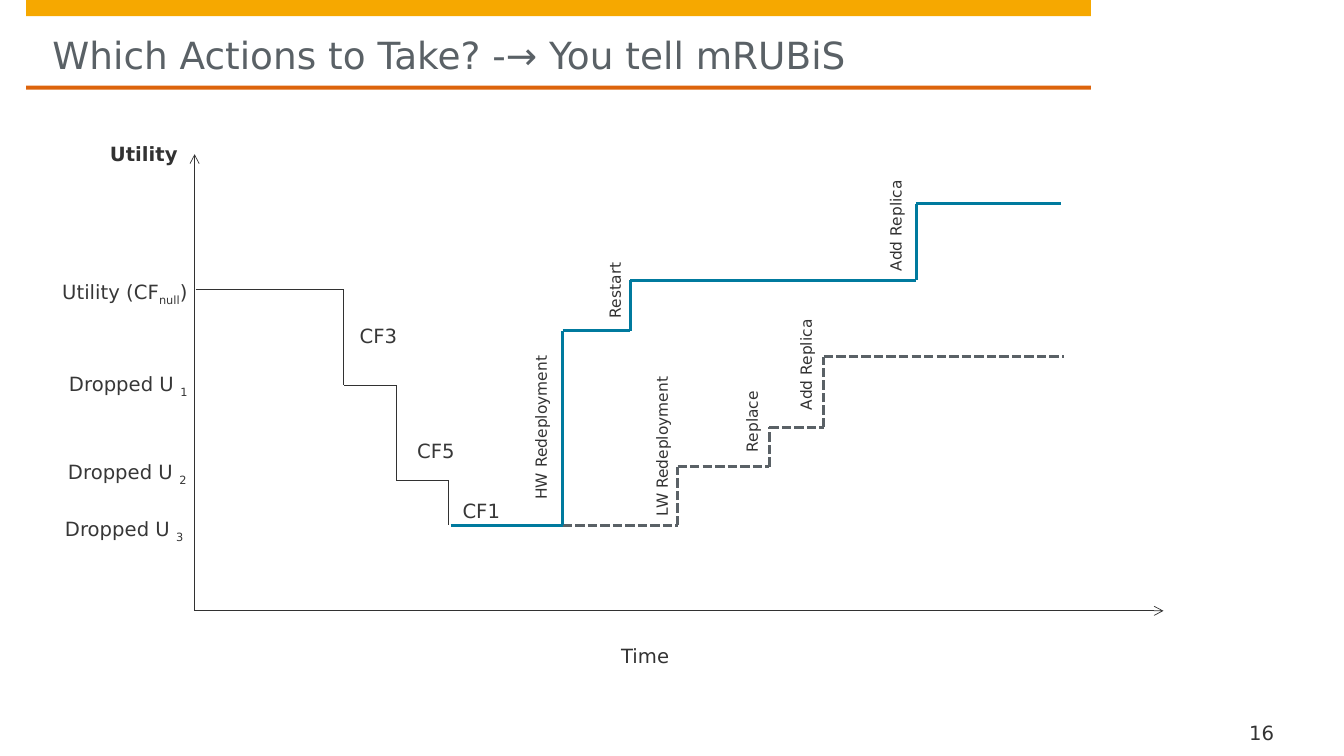
import lxml.etree
import pptx
import pptx.dml.color
import pptx.enum.dml
import pptx.enum.shapes
import pptx.enum.text
import pptx.oxml.ns
import pptx.util

PX = 9144  # EMU, 100 px to the inch
FONT = "DejaVu Sans"
RGBColor = pptx.dml.color.RGBColor
AMBER = RGBColor(0xF6, 0xA8, 0x00)
ORANGE = RGBColor(0xDD, 0x64, 0x0C)
SLATE = RGBColor(0x5A, 0x61, 0x66)
INK = RGBColor(0x32, 0x32, 0x32)
LABEL = RGBColor(0x37, 0x37, 0x37)
BLUE = RGBColor(0x00, 0x7A, 0x9E)

ALIGN = pptx.enum.text.PP_ALIGN
ANCHOR = pptx.enum.text.MSO_ANCHOR
DASH = pptx.enum.dml.MSO_LINE.SQUARE_DOT


def add_span(para, text, size=14, color=INK, bold=False, subscript=False):
    span = para.add_run()
    span.text = text
    span.font.name = FONT
    span.font.size = pptx.util.Pt(size)
    span.font.bold = bold
    span.font.color.rgb = color
    if subscript:
        span._r.get_or_add_rPr().set("baseline", "-25000")


class UtilityPage:
    def __init__(self, page):
        self.page = page

    def bar(self, left, top, width, height, color):
        shape = self.page.shapes.add_shape(
            pptx.enum.shapes.MSO_SHAPE.RECTANGLE,
            left * PX, top * PX, width * PX, height * PX)
        shape.shadow.inherit = False
        shape.fill.solid()
        shape.fill.fore_color.rgb = color
        shape.line.fill.background()

    def text(self, left, top, width, height, text, subscript="", ending="",
             align=ALIGN.LEFT, anchor=ANCHOR.TOP, rotation=0, **style):
        box = self.page.shapes.add_textbox(
            left * PX, top * PX, width * PX, height * PX)
        box.rotation = rotation
        frame = box.text_frame
        frame.word_wrap = True
        frame.vertical_anchor = anchor
        frame.margin_left = frame.margin_right = 0
        frame.margin_top = frame.margin_bottom = 0
        para = frame.paragraphs[0]
        para.alignment = align
        add_span(para, text, **style)
        if subscript:
            add_span(para, subscript, subscript=True, **style)
        if ending:
            add_span(para, ending, **style)

    def line(self, start, end, color, weight, dash=None, arrow=False):
        connector = self.page.shapes.add_connector(
            pptx.enum.shapes.MSO_CONNECTOR.STRAIGHT,
            start[0] * PX, start[1] * PX, end[0] * PX, end[1] * PX)
        connector.line.color.rgb = color
        connector.line.width = pptx.util.Pt(weight)
        if dash:
            connector.line.dash_style = dash
        if arrow:
            tip = lxml.etree.SubElement(
                connector.line._get_or_add_ln(), pptx.oxml.ns.qn("a:tailEnd"))
            tip.set("type", "arrow")
        lxml.etree.SubElement(
            connector._element.spPr, pptx.oxml.ns.qn("a:effectLst"))

    def staircase(self, corners, color, weight, dash=None):
        for start, end in zip(corners, corners[1:]):
            self.line(start, end, color, weight, dash)


def main():
    deck = pptx.Presentation()
    deck.slide_width = 1333 * PX
    deck.slide_height = 750 * PX
    chart = UtilityPage(deck.slides.add_slide(deck.slide_layouts[6]))

    # Title band
    chart.bar(26, 0, 1056, 16, AMBER)
    chart.bar(26, 85, 1056, 4, ORANGE)
    chart.text(52, 32, 1003, 45, "Which Actions to Take? -→ You tell mRUBiS",
               anchor=ANCHOR.MIDDLE, size=26.7, color=SLATE)

    # Axes
    origin = (193, 606)
    chart.line(origin, (193, 153), INK, 0.5, arrow=True)
    chart.line(origin, (1154, 606), INK, 0.5, arrow=True)
    chart.text(109, 141, 103, 24, "Utility", bold=True)
    chart.text(616, 639, 92, 42, "Time")

    # Utility levels, set flush right against the axis
    levels = [
        (186, 278, "Utility (CF", "null", ")"),
        (186, 369, "Dropped U ", "1", ""),
        (185, 456, "Dropped U ", "2", ""),
        (182, 513, "Dropped U ", "3", ""),
    ]
    for right, top, name, index, ending in levels:
        chart.text(right - 150, top, 150, 30, name, index, ending,
                   align=ALIGN.RIGHT, color=LABEL)

    # Utility lost with each failure
    chart.staircase([(194, 287), (341, 287), (341, 382), (393, 382),
                     (393, 477), (445, 477), (445, 521)], INK, 0.75)
    for right, top, failure in [(394, 321, "CF3"), (451, 435, "CF5"),
                                (496, 495, "CF1")]:
        chart.text(right - 60, top, 60, 25, failure,
                   align=ALIGN.RIGHT, color=LABEL)

    # Two ways to recover
    chart.staircase([(558, 521), (672, 521), (672, 463), (763, 463),
                     (763, 424), (817, 424), (817, 354), (1055, 354)],
                    SLATE, 2.25, DASH)
    chart.staircase([(447, 521), (558, 521), (558, 328), (625, 328),
                     (625, 278), (909, 278), (909, 202), (1052, 202)],
                    BLUE, 2)

    # Actions, written upwards beside their steps
    actions = [
        (455, 425, 162, 18, "HW Redeployment", ALIGN.RIGHT),
        (577, 284, 65, 18, "Restart", ALIGN.RIGHT),
        (839, 219, 108, 28, "Add Replica", ALIGN.RIGHT),
        (575, 422, 162, 18, "LW Redeployment", ALIGN.LEFT),
        (701, 387, 97, 26, "Replace", ALIGN.LEFT),
        (750, 357, 108, 28, "Add Replica", ALIGN.RIGHT),
    ]
    for left, top, width, height, action, align in actions:
        chart.text(left, top, width, height, action, align=align,
                   rotation=270, size=11)

    # Page number
    chart.text(1239, 714, 68, 25, "16", anchor=ANCHOR.BOTTOM)

    deck.save("out.pptx")


if __name__ == "__main__":
    main()
